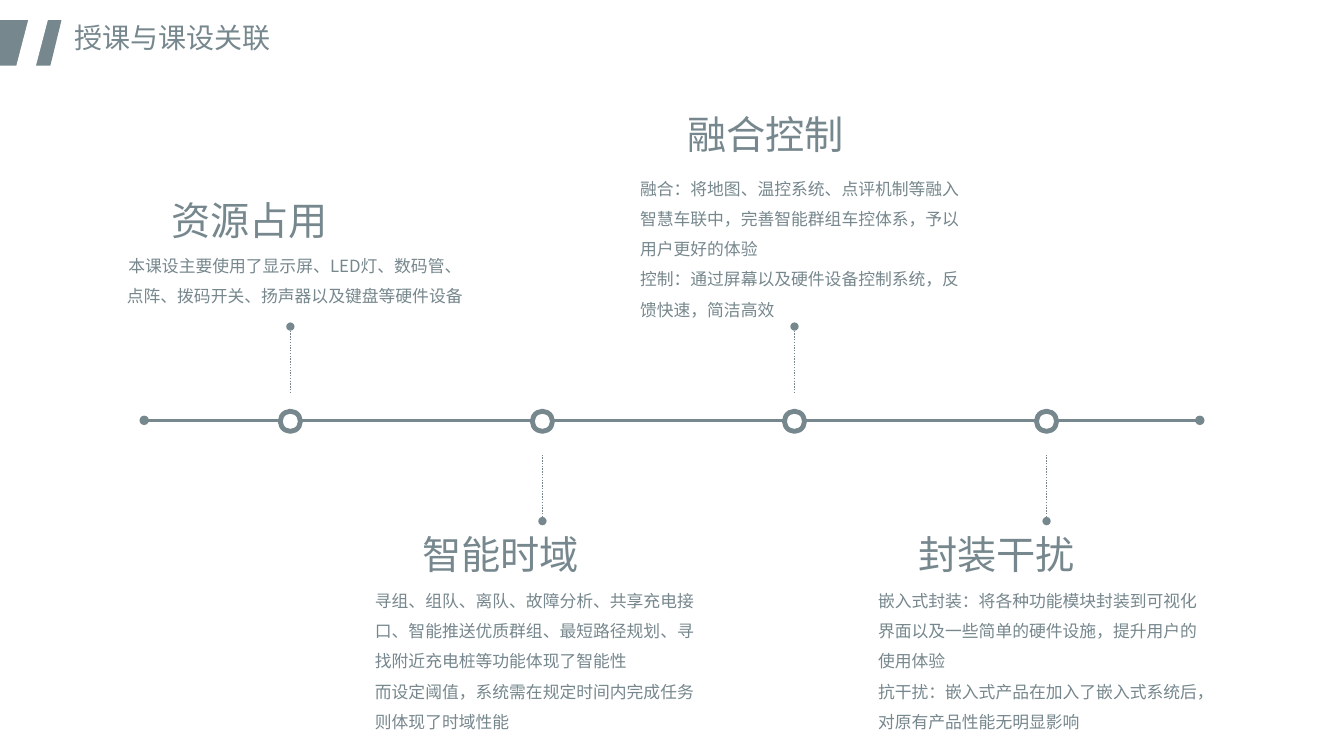
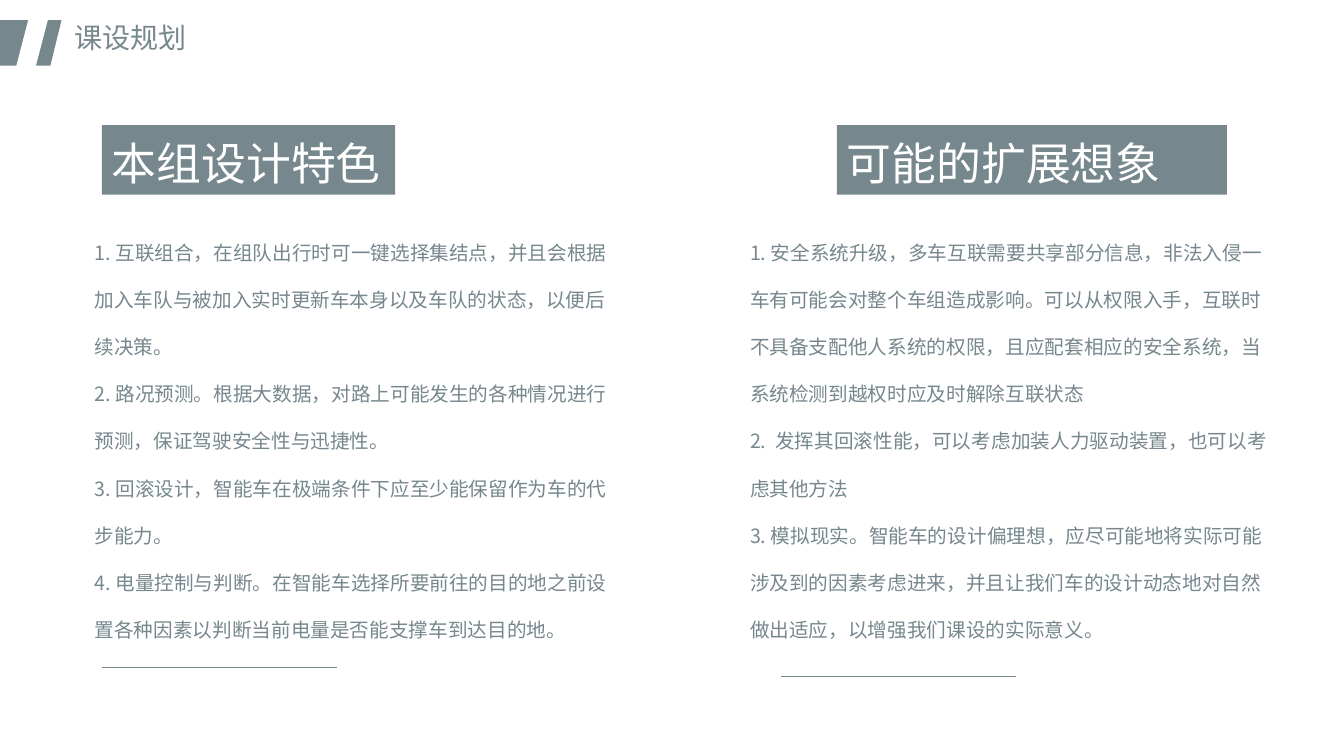
from lxml import etree
from pptx import Presentation
from pptx.dml.color import RGBColor
from pptx.enum import dml, lang, shapes, text
from pptx.oxml import ns
from pptx.util import Inches, Pt

SLATE = "76878D"
WHITE = "FFFFFF"
FONT = "Noto Sans CJK JP"
rgb = RGBColor.from_string


def write(frame, paragraphs, size, spacing, color=SLATE, align=text.PP_ALIGN.LEFT):
    frame.word_wrap = True
    frame.auto_size = text.MSO_AUTO_SIZE.NONE
    frame.vertical_anchor = text.MSO_ANCHOR.TOP
    for index, words in enumerate(paragraphs):
        paragraph = frame.add_paragraph() if index else frame.paragraphs[0]
        paragraph.alignment = align
        paragraph.line_spacing = spacing
        run = paragraph.add_run()
        run.text = words
        run.font.size = Pt(size)
        run.font.name = FONT
        run.font.color.rgb = rgb(color)
        run.font.language_id = lang.MSO_LANGUAGE_ID.SIMPLIFIED_CHINESE
        east_asian = etree.SubElement(run.font._element, ns.qn("a:ea"))
        east_asian.set("typeface", FONT)


def draw_line(slide, start, end, width, dots=(), dash=None):
    """Draw a straight line; dots names the ends (headEnd, tailEnd) with a round dot."""
    line = slide.shapes.add_connector(
        shapes.MSO_CONNECTOR.STRAIGHT, *map(Inches, start + end))
    line.line.color.rgb = rgb(SLATE)
    line.line.width = Pt(width)
    if dash:
        line.line.dash_style = dash
    properties = line._element.spPr
    for dot in dots:
        outline = properties.find(ns.qn("a:ln"))
        etree.SubElement(outline, ns.qn("a:" + dot)).set("type", "oval")
    etree.SubElement(properties, ns.qn("a:effectLst"))


deck = Presentation()
deck.slide_width = Inches(13.33)
deck.slide_height = Inches(7.5)

# Shared header: slanted mark and title
slides = []
for heading in ("授课与课设关联", "课设规划"):
    slide = deck.slides.add_slide(deck.slide_layouts[5])
    outline = slide.shapes.build_freeform(Inches(0), Inches(0.2))
    outline.add_line_segments(
        [(Inches(x), Inches(y)) for x, y in ((0.61, 0.2), (0.5, 0.65), (0, 0.65))])
    mark = outline.convert_to_shape()
    mark.fill.solid()
    mark.fill.fore_color.rgb = rgb(SLATE)
    mark.line.fill.background()
    mark.shadow.inherit = False

    gap = slide.shapes.add_shape(
        shapes.MSO_SHAPE.PARALLELOGRAM, Inches(0.17), Inches(0.19), Inches(0.3), Inches(0.46))
    gap.adjustments[0] = 0.4
    gap.fill.solid()
    gap.fill.fore_color.rgb = rgb(WHITE)
    gap.line.color.rgb = rgb(WHITE)
    gap.line.width = Pt(1)
    gap.shadow.inherit = False

    title = slide.shapes.title
    title.left, title.top = Inches(0.64), Inches(0.12)
    title.width, title.height = Inches(2.41), Inches(0.47)
    write(title.text_frame, [heading], 20, 1.1)
    slides.append(slide)
timeline, plan = slides

# Slide 1: timeline with topics alternating above and below the axis
AXIS = 4.17
FIRST_STOP, PITCH = 2.88, 2.5
RING = 0.2
draw_line(timeline, (1.43, AXIS), (11.9, AXIS), 2.25, ("headEnd", "tailEnd"))

# topic, topic left and top, body left, top, width and height, alignment, paragraphs
topics = [
    ("资源占用", 1.6, 1.85, 1.13, 2.39, 3.59, 0.71, text.PP_ALIGN.CENTER, [
        "本课设主要使用了显示屏、LED灯、数码管、点阵、拨码开关、扬声器以及键盘等硬件设备"]),
    ("智能时域", 4.09, 5.17, 3.62, 5.71, 3.52, 1.61, text.PP_ALIGN.LEFT, [
        "寻组、组队、离队、故障分析、共享充电接口、智能推送优质群组、最短路径规划、"
        "寻找附近充电桩等功能体现了智能性",
        "而设定阈值，系统需在规定时间内完成任务则体现了时域性能"]),
    ("融合控制", 6.72, 1, 6.25, 1.62, 3.52, 1.61, text.PP_ALIGN.LEFT, [
        "融合：将地图、温控系统、点评机制等融入智慧车联中，完善智能群组车控体系，"
        "予以用户更好的体验",
        "控制：通过屏幕以及硬件设备控制系统，反馈快速，简洁高效"]),
    ("封装干扰", 9.01, 5.17, 8.61, 5.71, 3.52, 1.61, text.PP_ALIGN.LEFT, [
        "嵌入式封装：将各种功能模块封装到可视化界面以及一些简单的硬件设施，"
        "提升用户的使用体验",
        "抗干扰：嵌入式产品在加入了嵌入式系统后，对原有产品性能无明显影响"]),
]
for index, (topic, topic_left, topic_top, left, top, width, height, align, body) in enumerate(topics):
    stop = FIRST_STOP + index * PITCH
    ring = timeline.shapes.add_shape(
        shapes.MSO_SHAPE.OVAL, Inches(stop - RING / 2), Inches(AXIS + 0.01 - RING / 2),
        Inches(RING), Inches(RING))
    ring.fill.solid()
    ring.fill.fore_color.rgb = rgb(WHITE)
    ring.line.color.rgb = rgb(SLATE)
    ring.line.width = Pt(3.5)
    ring.shadow.inherit = False

    near, far = (4.51, 5.17) if index % 2 else (3.9, 3.24)
    draw_line(timeline, (stop, near), (stop, far), 1, ("tailEnd",), dml.MSO_LINE.ROUND_DOT)

    topic_box = timeline.shapes.add_textbox(
        Inches(topic_left), Inches(topic_top), Inches(2.58), Inches(0.62))
    write(topic_box.text_frame, [topic], 28, 1.1)
    body_box = timeline.shapes.add_textbox(
        Inches(left), Inches(top), Inches(width), Inches(height))
    write(body_box.text_frame, body, 12, 1.5, align=align)

# Slide 2: two columns
# banner, banner left and width, body left, rule left and top, paragraphs
columns = [
    ("本组设计特色", 1.01, 2.91, 0.84, 1.01, 6.62, [
        "1. 互联组合，在组队出行时可一键选择集结点，并且会根据加入车队与被加入实时"
        "更新车本身以及车队的状态，以便后续决策。",
        "2. 路况预测。根据大数据，对路上可能发生的各种情况进行预测，保证驾驶安全性与迅捷性。",
        "3. 回滚设计，智能车在极端条件下应至少能保留作为车的代步能力。",
        "4. 电量控制与判断。在智能车选择所要前往的目的地之前设置各种因素以判断当前电量"
        "是否能支撑车到达目的地。"]),
    ("可能的扩展想象", 8.3, 3.87, 7.34, 7.75, 6.71, [
        "1. 安全系统升级，多车互联需要共享部分信息，非法入侵一车有可能会对整个车组造成"
        "影响。可以从权限入手，互联时不具备支配他人系统的权限，且应配套相应的安全系统，"
        "当系统检测到越权时应及时解除互联状态",
        "2.  发挥其回滚性能，可以考虑加装人力驱动装置，也可以考虑其他方法",
        "3. 模拟现实。智能车的设计偏理想，应尽可能地将实际可能涉及到的因素考虑进来，"
        "并且让我们车的设计动态地对自然做出适应，以增强我们课设的实际意义。"]),
]
for heading, banner_left, banner_width, body_left, rule_left, rule_top, points in columns:
    banner = plan.shapes.add_shape(
        shapes.MSO_SHAPE.RECTANGLE, Inches(banner_left), Inches(1.24),
        Inches(banner_width), Inches(0.69))
    banner.fill.solid()
    banner.fill.fore_color.rgb = rgb(SLATE)
    banner.line.fill.background()
    banner.shadow.inherit = False
    write(banner.text_frame, [heading], 32, 1.1, WHITE)

    body_box = plan.shapes.add_textbox(
        Inches(body_left), Inches(2.11), Inches(5.38), Inches(4.34))
    write(body_box.text_frame, points, 14, 2.0)
    draw_line(plan, (rule_left, rule_top), (rule_left + 2.33, rule_top), 0.5)

deck.save("out.pptx")
